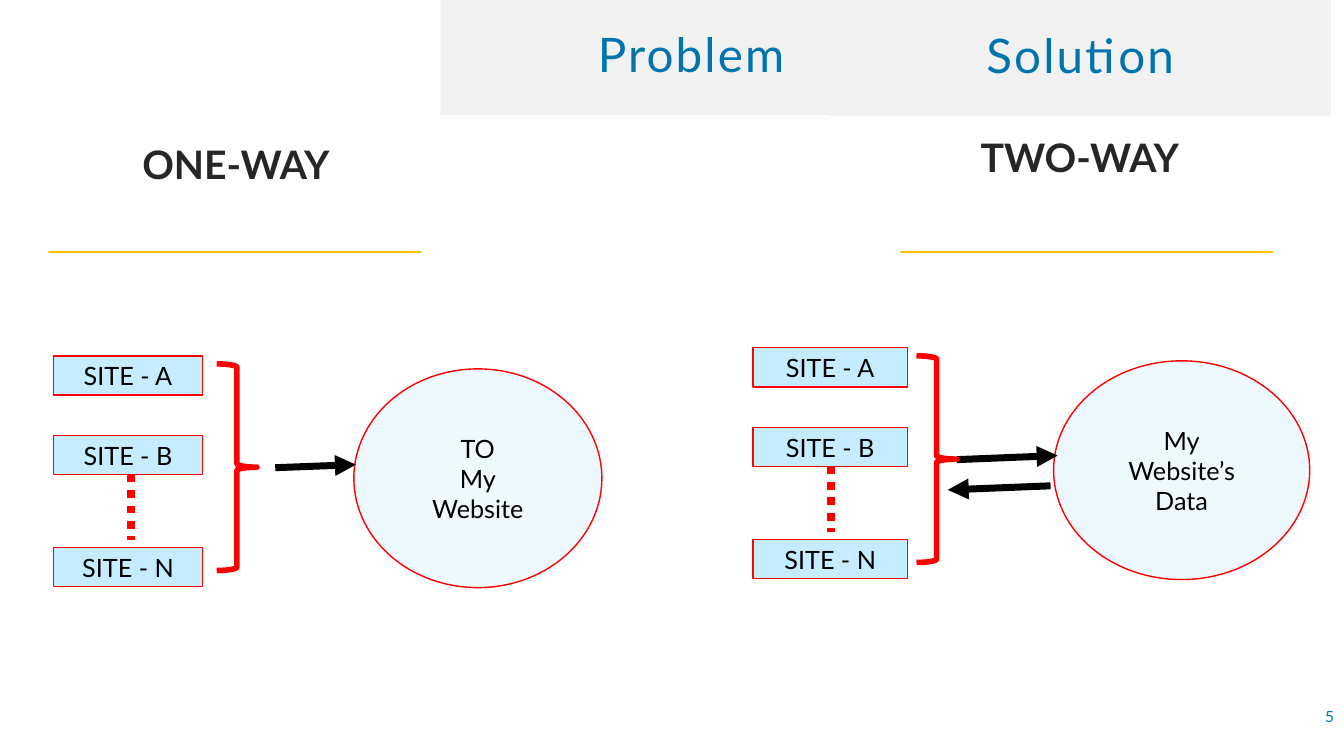
from dataclasses import dataclass

from lxml import etree
from pptx import Presentation
from pptx import util as u
from pptx.dml import color
from pptx.enum import dml, shapes, text
from pptx.oxml import ns


@dataclass(frozen=True)
class Theme:
    font: str = "Lato"
    band: str = "F2F2F2"
    blue: str = "0074AF"
    dark: str = "262626"
    black: str = "000000"
    gold: str = "FFC000"
    red: str = "FF0000"
    sky: str = "75D1FF"
    title: int = 34
    heading: int = 28
    label: int = 18
    number: int = 11


THEME = Theme()
SHAPE = shapes.MSO_SHAPE
ALIGN = text.PP_ALIGN
ANCHOR = text.MSO_ANCHOR


def rgb(value):
    return color.RGBColor.from_string(value)


def place(s, box):
    s.left, s.top, s.width, s.height = (u.Inches(v) for v in box)


def write(s, content, size=THEME.label, ink=THEME.black, bold=False,
          align=ALIGN.CENTER, anchor=ANCHOR.MIDDLE, spacing=1.0,
          before=0, after=0, tracking=0, inset=0.1):
    tf = s.text_frame
    tf.word_wrap = True
    tf.auto_size = text.MSO_AUTO_SIZE.NONE
    tf.vertical_anchor = anchor
    tf.margin_left = tf.margin_right = u.Inches(inset)
    tf.margin_top = tf.margin_bottom = u.Inches(0.05)
    for i, line in enumerate(content.split("\n")):
        p = tf.paragraphs[0] if i == 0 else tf.add_paragraph()
        p.alignment = align
        p.line_spacing = spacing
        p.space_before, p.space_after = u.Pt(before), u.Pt(after)
        r = p.add_run()
        r.text = line
        r.font.name, r.font.size, r.font.bold = THEME.font, u.Pt(size), bold
        r.font.color.rgb = rgb(ink)
        if tracking:
            r.font._element.set("spc", str(tracking))


def add_shape(s, kind, box, fill=None, alpha=None, line=None, weight=1):
    sp = s.shapes.add_shape(kind, *(u.Inches(v) for v in box))
    sp.shadow.inherit = False
    if fill:
        sp.fill.solid()
        sp.fill.fore_color.rgb = rgb(fill)
        if alpha:
            ink = sp._element.spPr.find(".//" + ns.qn("a:srgbClr"))
            etree.SubElement(ink, ns.qn("a:alpha")).set("val", str(alpha * 1000))
    else:
        sp.fill.background()
    if line:
        sp.line.color.rgb = rgb(line)
        sp.line.width = u.Pt(weight)
    else:
        sp.line.fill.background()
    return sp


def add_line(s, start, end, ink, weight, dash=None, arrow=False):
    c = s.shapes.add_connector(shapes.MSO_CONNECTOR.STRAIGHT,
                               *(u.Inches(v) for v in (*start, *end)))
    c.line.color.rgb = rgb(ink)
    c.line.width = u.Pt(weight)
    if dash:
        c.line.dash_style = dash
    if arrow:
        etree.SubElement(c.line._ln, ns.qn("a:tailEnd")).set("type", "triangle")
    etree.SubElement(c._element.spPr, ns.qn("a:effectLst"))


def add_banner(sp, box, caption):
    place(sp, box)
    sp.fill.solid()
    sp.fill.fore_color.rgb = rgb(THEME.band)
    write(sp, caption, size=THEME.title, ink=THEME.blue, spacing=0.9,
          tracking=160, inset=0.5)


def add_heading(s, holder, box, caption, rule_left, after=0):
    place(holder, box)
    write(holder, caption, size=THEME.heading, ink=THEME.dark, bold=True,
          anchor=ANCHOR.TOP, spacing=0.9, before=10, after=after)
    add_shape(s, SHAPE.RECTANGLE, (rule_left, 2.49, 3.7, 0.02), fill=THEME.gold)


def add_flow(s, box, site_width, hub, arrows):
    x, y, w, h = box
    for name, dy in (("A", 0), ("B", 0.79), ("N", 1.9)):
        site = add_shape(s, SHAPE.RECTANGLE, (x, y + dy, site_width, 0.39),
                         fill=THEME.sky, alpha=41, line=THEME.red)
        write(site, f"SITE - {name}")
    dots = x + 0.77
    add_line(s, (dots, y + 1.18), (dots, y + 1.83), THEME.red, 5.5,
             dash=dml.MSO_LINE.ROUND_DOT)
    hub_left = x + 2.98
    circle = add_shape(s, SHAPE.OVAL, (hub_left, y + 0.13, x + w - hub_left, h - 0.13),
                       fill=THEME.sky, alpha=13, line=THEME.red)
    write(circle, hub)
    for (x1, y1), (x2, y2) in arrows:
        add_line(s, (x + x1, y + y1), (x + x2, y + y2), THEME.black, 5, arrow=True)
    add_shape(s, SHAPE.RIGHT_BRACE, (x + 1.62, y + 0.08, 0.4, 2.05),
              line=THEME.red, weight=4)


def add_page_number(s, box, number):
    tb = s.shapes.add_textbox(*(u.Inches(v) for v in box))
    write(tb, number, size=THEME.number, ink=THEME.blue, align=ALIGN.RIGHT)


def add_comparison_slide(prs):
    s = prs.slides.add_slide(prs.slide_layouts.get_by_name("Comparison"))
    holders = {p.placeholder_format.idx: p for p in s.placeholders}
    for idx in (2, 4):
        holders[idx]._element.getparent().remove(holders[idx]._element)

    add_banner(s.shapes.title, (4.37, -0.01, 4.97, 1.15), "Problem")
    solution = (8.23, 0, 4.97, 1.15)
    add_banner(add_shape(s, SHAPE.RECTANGLE, solution), solution, "Solution")
    add_heading(s, holders[1], (0.31, 1.39, 4.06, 0.83), "ONE-WAY", 0.48)
    add_heading(s, holders[3], (8.61, 1.33, 4.2, 2.21), "TWO-WAY", 8.93, after=24)
    add_flow(s, (0.53, 3.53, 5.44, 2.3), 1.48, "TO\nMy\nWebsite",
             [((2.2, 1.11), (3.0, 1.08))])
    add_flow(s, (7.47, 3.45, 5.52, 2.3), 1.53, "My\nWebsite’s\nData",
             [((2.02, 1.11), (3.02, 1.07)), ((2.95, 1.37), (1.93, 1.41))])
    add_page_number(s, (10.33, 6.91, 3, 0.4), "5")


def main():
    prs = Presentation()
    prs.slide_width, prs.slide_height = u.Inches(13.33), u.Inches(7.5)
    add_comparison_slide(prs)
    prs.save("out.pptx")


if __name__ == "__main__":
    main()
